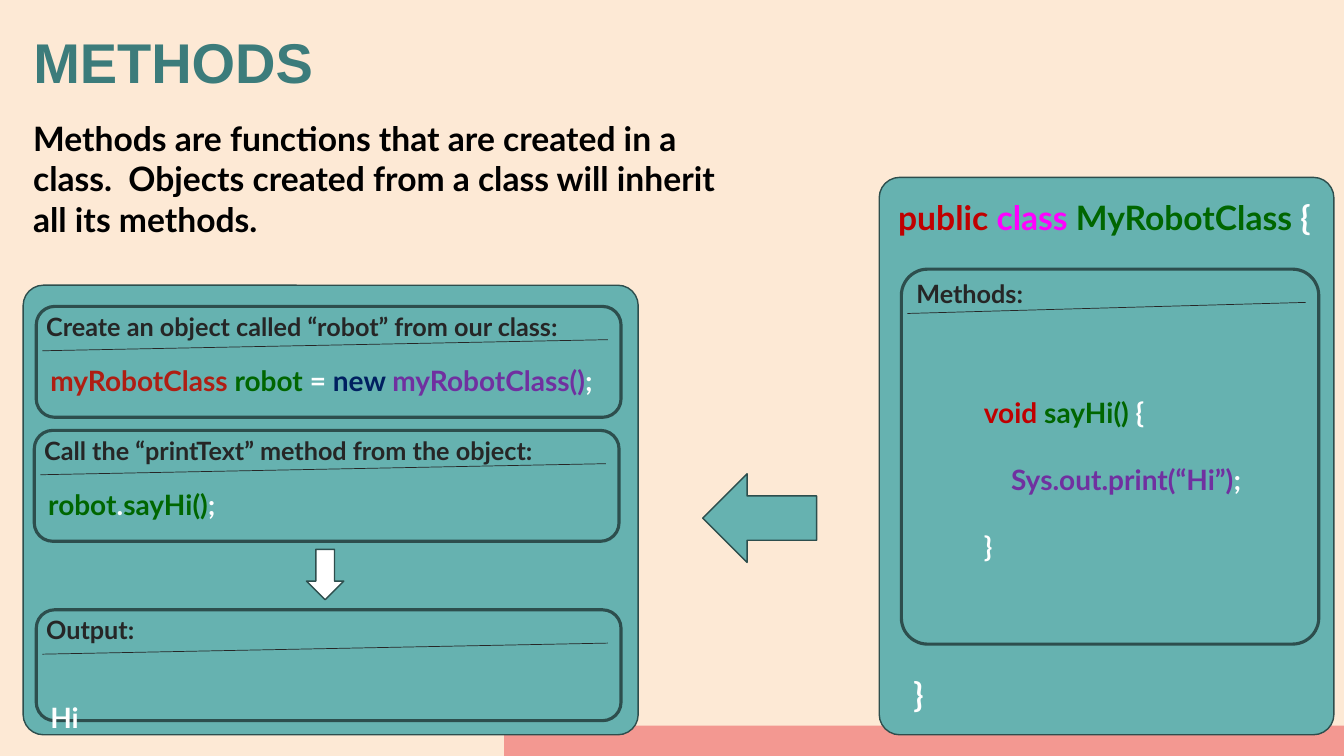
"""Build the METHODS slide: a robot class, its method, and the calling code."""
from lxml.etree import SubElement
from pptx import Presentation
from pptx.dml.color import RGBColor
from pptx.enum.shapes import MSO_CONNECTOR, MSO_SHAPE as SHAPE
from pptx.enum.text import MSO_ANCHOR, MSO_AUTO_SIZE as FIT, PP_ALIGN
from pptx.oxml.ns import qn
from pptx.util import Inches, Pt

COLORS = {
    "cream": "FDE9D5", "salmon": "F39891", "title": "3C7C7B", "teal": "66B2B0",
    "edge": "2D4E4D", "dark": "262626", "black": "000000", "white": "FFFFFF",
    "red": "C00000", "brick": "AF1E13", "pink": "FF00FF", "green": "006600",
    "purple": "7030A0", "navy": "002060",
}

INTRO = [[("Methods are functions that are created in a class.  Objects created "
           "from a class will inherit all its methods.", "black")]]
CLASS_OPEN = [[("public ", "red"), ("class ", "pink"),
               ("MyRobotClass ", "green"), ("{", "white")]]
CLASS_CLOSE = [[("}", "white")]]
METHOD = [
    [("void ", "red"), ("sayHi() ", "green"), ("{", "white")],
    [("Sys.out.print(“Hi”)", "purple"), (";", "white")],
    [("}", "white")],
]
CREATE = [[("myRobotClass ", "brick"), ("robot", "green"), (" = ", "white"),
           ("new ", "navy"), ("myRobotClass()", "purple"), (";", "white")]]
CALL = [[("robot", "green"), (".", "white"), ("sayHi()", "green"), (";", "white")]]
OUTPUT = [[("Hi", "white")]]

CARDS = [(8.72, 1.76, 4.51, 5.53), (0.23, 2.83, 6.1, 4.46)]
PANELS = [
    ("Methods:", (8.94, 2.67, 4.14, 3.72), 0.07, (0.05, 0.04), 1.29),
    ("Create an object called “robot” from our class:",
     (0.36, 3.04, 5.8, 1.1), None, (0, 0), 5.45),
    ("Call the “printText” method from the object:",
     (0.34, 4.27, 5.8, 1.1), None, (0, 0), 5.17),
    ("Output:", (0.36, 6.05, 5.8, 1.1), None, (0, 0), 1.1),
]
TEXTS = [
    (INTRO, (0.23, 1.12, 7.27, 1.31), 24, True),
    (CLASS_OPEN, (8.81, 1.9, 4.41, 0.5), 24, False),
    (CLASS_CLOSE, (8.96, 6.64, 0.3, 0.5), 24, False),
    (CREATE, (0.4, 3.56, 5.78, 0.44), 20, False),
    (CALL, (0.38, 4.79, 1.9, 0.44), 20, False),
    (OUTPUT, (0.4, 6.9, 0.48, 0.44), 20, False),
]
ARROWS = [
    (SHAPE.DOWN_ARROW, (3.04, 5.45, 0.37, 0.5), "white"),
    (SHAPE.LEFT_ARROW, (6.97, 4.7, 1.13, 0.88), "teal"),
]


def rgb(name):
    return RGBColor.from_string(COLORS[name])


def inches(values):
    return [Inches(value) for value in values]


def add_shape(slide, kind, place, fill, line_width=1, corner=None):
    shape = slide.shapes.add_shape(kind, *inches(place))
    shape.shadow.inherit = False
    shape.fill.solid()
    shape.fill.fore_color.rgb = rgb(fill)
    if line_width:
        shape.line.color.rgb = rgb("edge")
        shape.line.width = Pt(line_width)
    else:
        shape.line.fill.background()
    if corner:
        shape.adjustments[0] = corner
    return shape


def add_text(slide, lines, place, size, wrap):
    box = slide.shapes.add_textbox(*inches(place))
    frame = box.text_frame
    frame.word_wrap = wrap
    frame.auto_size = FIT.SHAPE_TO_FIT_TEXT
    for index, pieces in enumerate(lines):
        para = frame.add_paragraph() if index else frame.paragraphs[0]
        for text, color in pieces:
            span = para.add_run()
            span.text = text
            span.font.name = "Lato"
            span.font.size = Pt(size)
            span.font.bold = True
            span.font.color.rgb = rgb(color)
    return box


def add_rule(slide, start, end):
    rule = slide.shapes.add_connector(MSO_CONNECTOR.STRAIGHT, *inches(start + end))
    rule.line.color.rgb = rgb("dark")
    rule.line.width = Pt(0.5)
    SubElement(rule._element.spPr, qn("a:effectLst"))


def add_panel(slide, heading, place, corner, offset, heading_width):
    left, top, width, height = place
    add_shape(slide, SHAPE.ROUNDED_RECTANGLE, place, "teal", 2.25, corner)
    add_text(slide, [[(heading, "dark")]],
             (left + offset[0], top + offset[1], heading_width, 0.4), 18, False)
    add_rule(slide, (left + 0.06, top + 0.44), (left + width - 0.13, top + 0.33))


def add_title(slide):
    title = slide.shapes.title
    title.left, title.top, title.width, title.height = inches((0.23, -0.45, 8.18, 1.45))
    frame = title.text_frame
    frame.text = "METHODS"
    frame.auto_size = FIT.NONE
    frame.vertical_anchor = MSO_ANCHOR.BOTTOM
    para = frame.paragraphs[0]
    para.alignment = PP_ALIGN.LEFT
    para.line_spacing = 0.9
    font = para.runs[0].font
    font.name, font.size, font.bold = "Arial", Pt(40), True
    font.color.rgb = rgb("title")
    effects = font._element.makeelement(qn("a:effectLst"))
    font._element.find(qn("a:solidFill")).addnext(effects)
    shadow = SubElement(effects, qn("a:outerShdw"), dist="25400", dir="2700000")
    SubElement(shadow, qn("a:srgbClr"), val=COLORS["white"])


def add_method(slide):
    box = add_text(slide, METHOD, (9.66, 3.87, 3.3, 1.78), 20, True)
    paras = box.text_frame.paragraphs
    for para in paras[1:]:
        para.space_before = Pt(24)
    paras[1]._p.get_or_add_pPr().set("marL", str(Inches(0.27)))


def main():
    deck = Presentation()
    deck.slide_width, deck.slide_height = inches((13.33, 7.5))
    slide = deck.slides.add_slide(deck.slide_layouts[5])
    slide.background.fill.solid()
    slide.background.fill.fore_color.rgb = rgb("cream")
    add_shape(slide, SHAPE.RECTANGLE, (5, 7.2, 8.33, 0.3), "salmon", 0)
    add_title(slide)
    for place in CARDS:
        add_shape(slide, SHAPE.ROUNDED_RECTANGLE, place, "teal", 1, 0.045)
    for panel in PANELS:
        add_panel(slide, *panel)
    for text in TEXTS:
        add_text(slide, *text)
    add_method(slide)
    for arrow in ARROWS:
        add_shape(slide, *arrow)
    deck.save("out.pptx")


if __name__ == "__main__":
    main()
